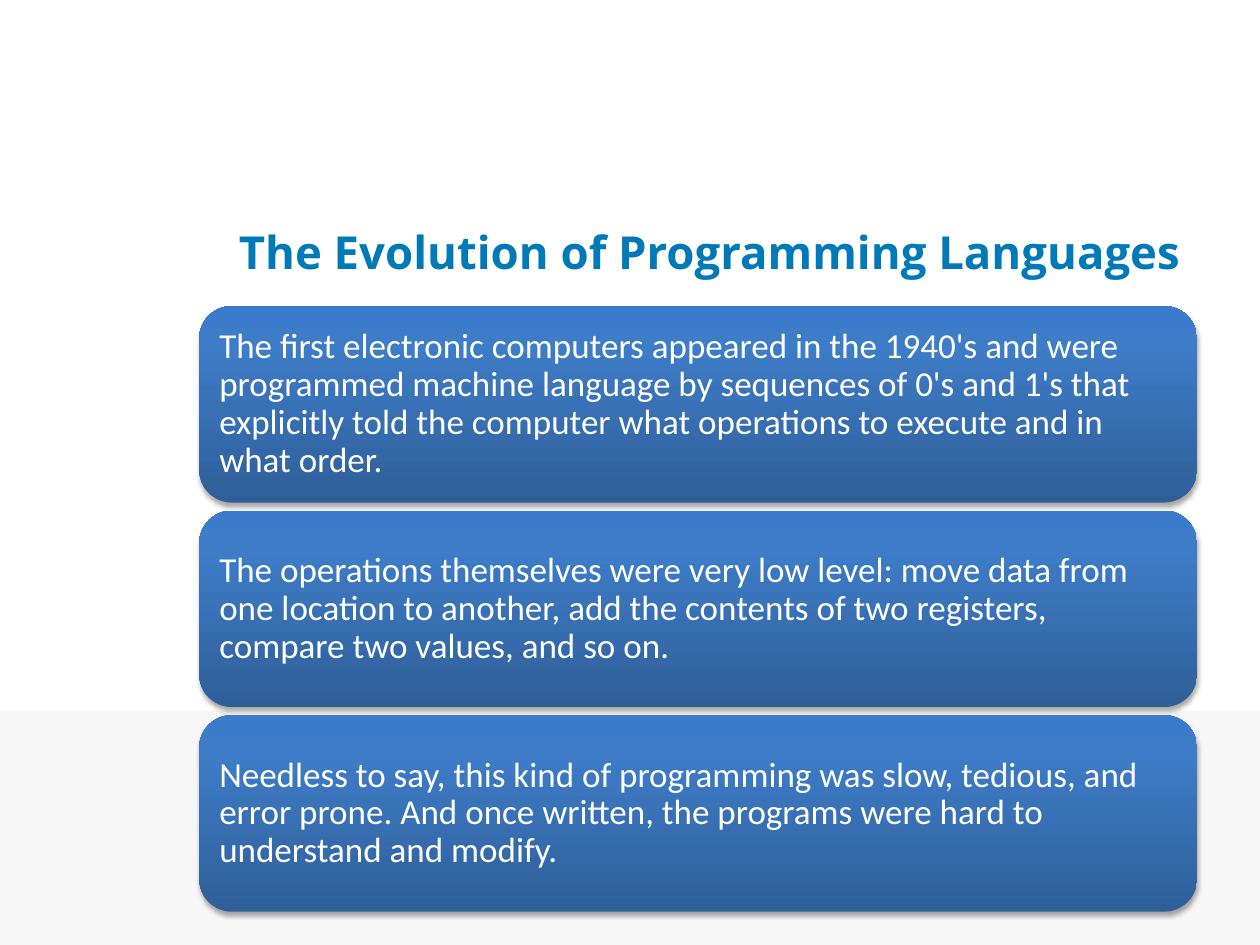
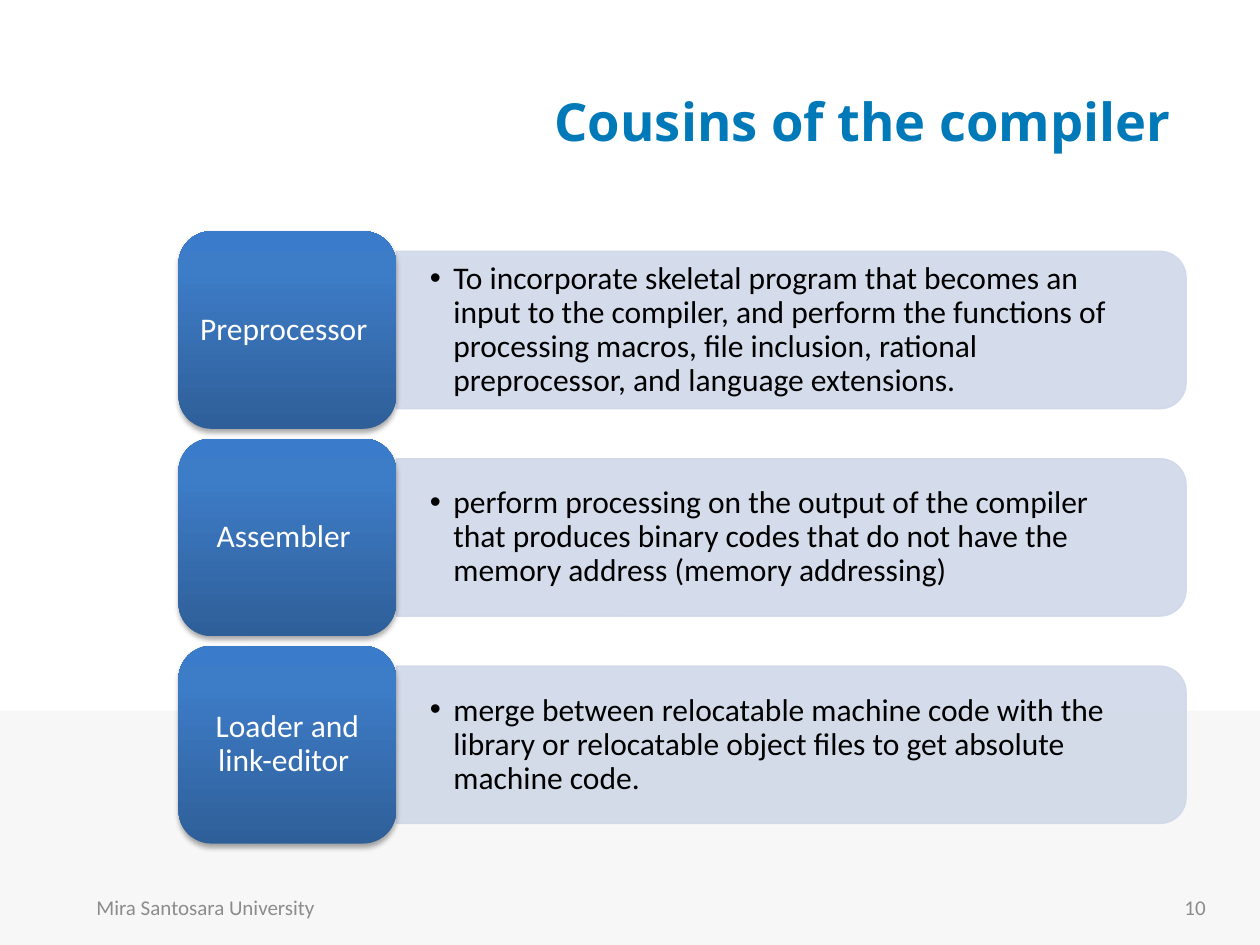
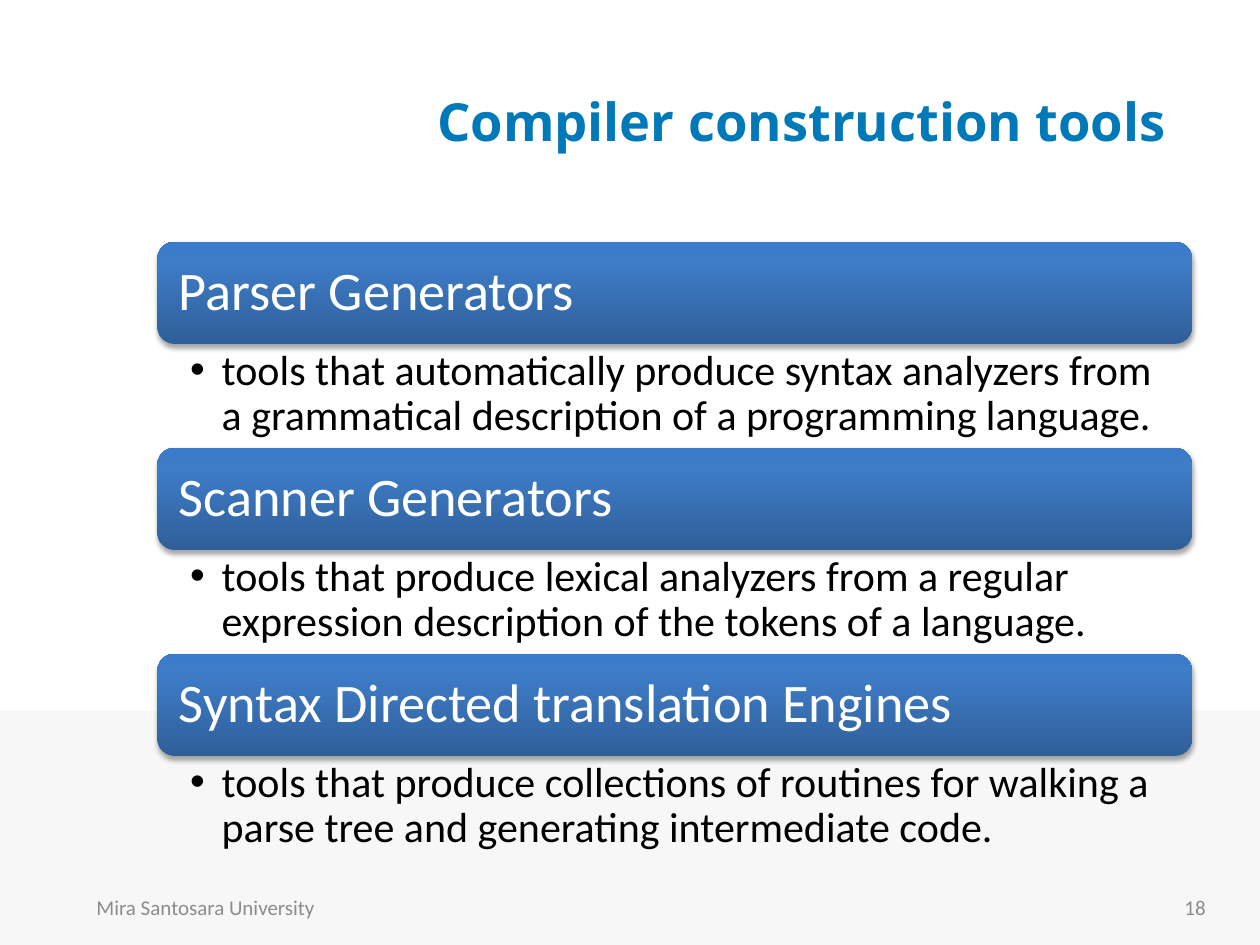
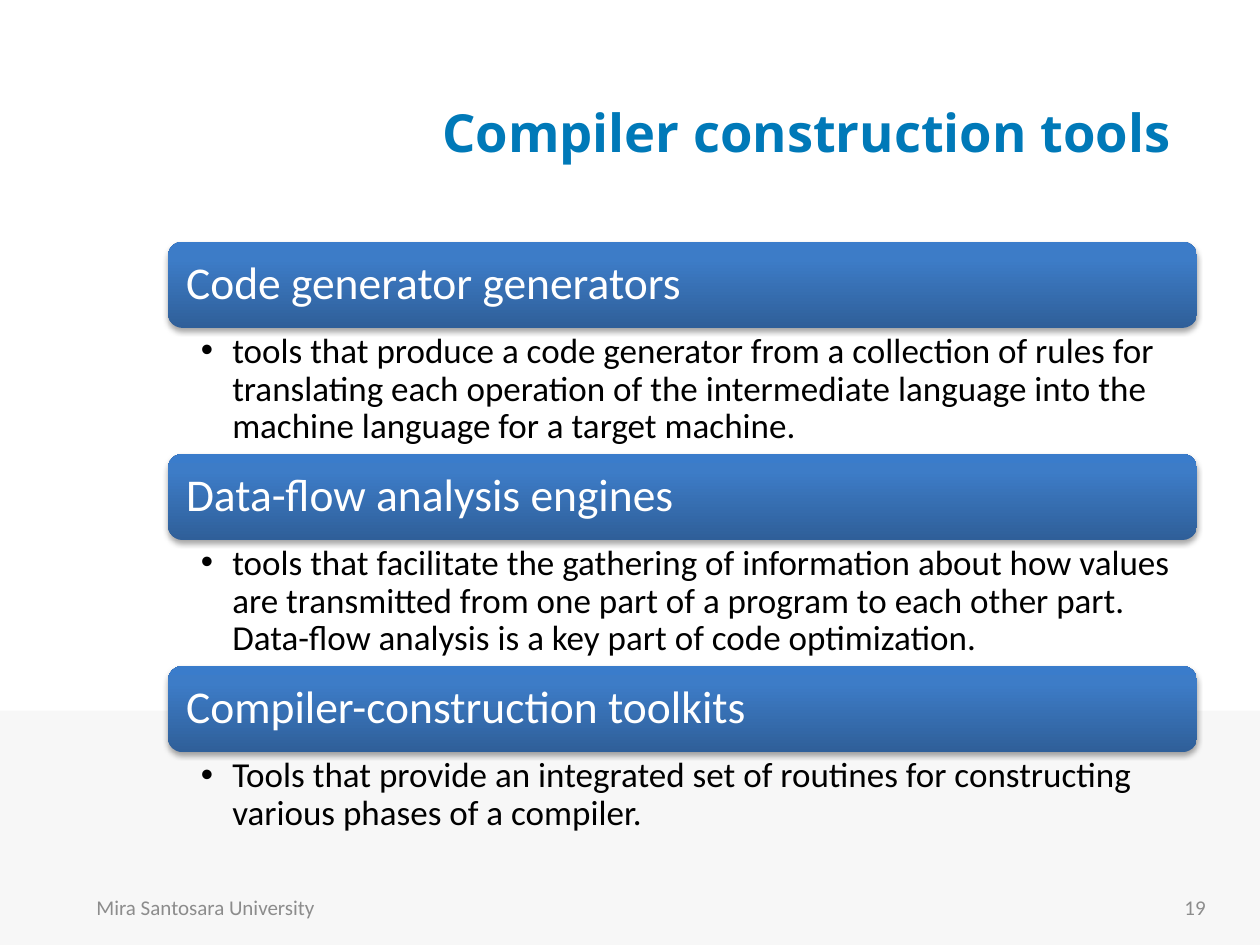
from copy import deepcopy

from lxml.etree import SubElement
from pptx import Presentation
from pptx.dml.color import RGBColor
from pptx.enum.shapes import MSO_SHAPE
from pptx.enum.text import MSO_ANCHOR, PP_ALIGN
from pptx.oxml.ns import qn
from pptx.util import Pt

# Shared look
BLUE, BAND, PANEL = "0079B8", "F7F7F7", "D0D8E8"
WHITE, BLACK, GREY = "FFFFFF", "000000", "8C8C8C"
GLOSS = [(0, "2F5F99"), (0.8, "3D7CC7"), (1, "3A7CCB")]
TITLE_FONT, BODY_FONT = "Open Sans", "Calibri"
UNIVERSITY = "Mira Santosara University"

# Content
EVOLUTION = [
    "The first electronic computers appeared in the 1940's and were programmed machine language "
    "by sequences of 0's and 1's that explicitly told the computer what operations to execute "
    "and in what order.",
    "The operations themselves were very low level: move data from one location to another, "
    "add the contents of two registers, compare two values, and so on.",
    "Needless to say, this kind of programming was slow, tedious, and error prone. And once "
    "written, the programs were hard to understand and modify.",
]
COUSINS = [
    ("Preprocessor ",
     "To incorporate skeletal program that becomes an input to the compiler, and perform the "
     "functions of processing macros, file inclusion, rational preprocessor, and language "
     "extensions."),
    ("Assembler ",
     "perform processing on the output of the compiler that produces binary codes that do not "
     "have the memory address (memory addressing)"),
    ("Loader and link-editor ",
     "merge between relocatable machine code with the library or relocatable object files to "
     "get absolute machine code."),
]
TOOL_SLIDES = [
    dict(number=18, title_left=124.6, title_top=23.8, left=90, width=591.2, pitch=117.7,
         head_height=58.4, head_size=31, head_inset=9.4,
         detail_heights=(59.2, 59.2, 59.2), detail_size=24, detail_right=17.3,
         tools=[
             ("Parser Generators",
              "tools that automatically produce syntax analyzers from a grammatical description "
              "of a programming language."),
             ("Scanner Generators",
              "tools that produce lexical analyzers from a regular expression description of "
              "the tokens of a language."),
             ("Syntax Directed translation Engines",
              "tools that produce collections of routines for walking a parse tree and "
              "generating intermediate code."),
         ]),
    dict(number=19, title_left=127.4, title_top=30.2, left=96, width=588, pitch=121.2,
         head_height=49.2, head_size=26, head_inset=7.9,
         detail_heights=(72, 72, 49.7), detail_size=20, detail_right=14.4,
         tools=[
             ("Code generator generators",
              "tools that produce a code generator from a collection of rules for translating "
              "each operation of the intermediate language into the machine language for a "
              "target machine."),
             ("Data-flow analysis engines",
              "tools that facilitate the gathering of information about how values are "
              "transmitted from one part of a program to each other part. Data-flow analysis "
              "is a key part of code optimization."),
             ("Compiler-construction toolkits",
              "Tools that provide an integrated set of routines for constructing various "
              "phases of a compiler."),
         ]),
]


def rgb(color):
    return RGBColor.from_string(color)


def points(*lengths):
    return [Pt(length) for length in lengths]


def write(shape, text, size=20, color=BLACK, font=BODY_FONT, bold=False, align=PP_ALIGN.LEFT,
          anchor=MSO_ANCHOR.MIDDLE, insets=(7.2, 3.6, 7.2, 3.6), spacing=0.9, bullet=0):
    """Put formatted text in a shape; bullet is the hanging indent, 0 for none."""
    frame = shape.text_frame
    frame.word_wrap = True
    frame.vertical_anchor = anchor
    (frame.margin_left, frame.margin_top,
     frame.margin_right, frame.margin_bottom) = points(*insets)
    paragraph = frame.paragraphs[0]
    paragraph.alignment, paragraph.line_spacing = align, spacing
    run = paragraph.add_run()
    run.text = text
    run.font.name, run.font.size, run.font.bold = font, Pt(size), bold
    run.font.color.rgb = rgb(color)
    if bullet:
        paragraph.level = 1
        properties = paragraph._p.get_or_add_pPr()
        properties.set("marL", str(Pt(bullet)))
        properties.set("indent", str(-Pt(bullet)))
        SubElement(properties, qn("a:buFont"), typeface="Arial")
        SubElement(properties, qn("a:buChar"), char="•")


def add_text(slide, box, text, **style):
    write(slide.shapes.add_textbox(*points(*box)), text, **style)


def add_plain(slide, kind, box, color):
    shape = slide.shapes.add_shape(kind, *points(*box))
    shape.shadow.inherit = False
    shape.fill.solid()
    shape.fill.fore_color.rgb = rgb(color)
    shape.line.fill.background()
    return shape


def set_alpha(color_parent, percent):
    SubElement(color_parent.find(".//" + qn("a:srgbClr")), qn("a:alpha"), val=str(percent * 1000))


def add_glossy(slide, box, text, **style):
    """Rounded box with the blue gradient and a soft shadow below."""
    shape = add_plain(slide, MSO_SHAPE.ROUNDED_RECTANGLE, box, BLUE)
    shape.fill.gradient()
    shape.fill.gradient_angle = 90
    properties = shape._element.spPr
    stop_list = properties.find(".//" + qn("a:gsLst"))
    stop_list.append(deepcopy(stop_list[-1]))
    for stop, (position, color) in zip(shape.fill.gradient_stops, GLOSS):
        stop.position = position
        stop.color.rgb = rgb(color)
    shadow = SubElement(properties.find(qn("a:effectLst")), qn("a:outerShdw"),
                        blurRad=str(Pt(3.1)), dist=str(Pt(1.8)), dir="5400000", rotWithShape="0")
    SubElement(shadow, qn("a:srgbClr"), val=BLACK)
    set_alpha(shadow, 35)
    write(shape, text, color=WHITE, **style)


def add_panel(slide, left, top, width, height):
    """Pale panel, rounded on its right side: a top-rounded shape turned by 90 degrees."""
    turned = (left + (width - height) / 2, top + (height - width) / 2, height, width)
    panel = add_plain(slide, MSO_SHAPE.ROUND_2_SAME_RECTANGLE, turned, PANEL)
    panel.rotation = 90
    panel.line.color.rgb = rgb(PANEL)
    panel.line.width = Pt(0.75)
    properties = panel._element.spPr
    set_alpha(properties.find(qn("a:solidFill")), 90)
    set_alpha(properties.find(qn("a:ln")), 90)


def add_slide(deck, title, left=127.4, top=23.8, number=None, **title_style):
    """Slide with the bottom band, the title and, if numbered, the footer."""
    slide = deck.slides.add_slide(deck.slide_layouts[6])
    add_plain(slide, MSO_SHAPE.RECTANGLE, (0, 406.1, 720, 133.9), BAND)
    style = dict(size=30, align=PP_ALIGN.RIGHT, spacing=1.0) | title_style
    add_text(slide, (left, top, 556.6, 90), title,
             font=TITLE_FONT, color=BLUE, bold=True, **style)
    if number:
        footer = dict(size=12, color=GREY, spacing=1.0)
        add_text(slide, (48, 504, 168, 28.8), UNIVERSITY, **footer)
        add_text(slide, (528, 504, 168, 28.8), str(number), align=PP_ALIGN.RIGHT, **footer)
    return slide


def add_evolution(deck):
    slide = add_slide(deck, "The Evolution of Programming Languages", top=116.6, size=26,
                      align=PP_ALIGN.CENTER, spacing=0.9, insets=(7.2, 3.6, 7.2, 35.6))
    for row, statement in enumerate(EVOLUTION):
        add_glossy(slide, (113.8, 174.9 + row * 116.9, 570.2, 112.3), statement,
                   insets=(6, 6, 6, 6))


def add_cousins(deck):
    slide = add_slide(deck, "Cousins of the compiler ", number=10)
    left, width, height, panel_height = 102, 124.4, 113, 90
    for row, (cousin, task) in enumerate(COUSINS):
        top = 132.1 + row * 118.5
        panel_left, panel_top = left + width, top + (height - panel_height) / 2
        add_panel(slide, panel_left, panel_top, 451.4, panel_height)
        add_text(slide, (panel_left, panel_top + 4.4, 447, panel_height - 8.8), task, size=18,
                 insets=(19.2, 10.1, 19.2, 10.1), bullet=13.5)
        add_glossy(slide, (left, top, width, height), cousin, size=18,
                   align=PP_ALIGN.CENTER, insets=(5, 2.9, 5, 2.9))


def add_tools(deck, content):
    slide = add_slide(deck, "Compiler construction tools ", content["title_left"],
                      content["title_top"], content["number"])
    left, width, head_height = content["left"], content["width"], content["head_height"]
    rows = zip(content["tools"], content["detail_heights"])
    for row, ((tool, purpose), detail_height) in enumerate(rows):
        top = 138.2 + row * content["pitch"]
        add_glossy(slide, (left, top, width, head_height), tool, size=content["head_size"],
                   insets=[content["head_inset"]] * 4)
        add_text(slide, (left, top + head_height, width, detail_height), purpose,
                 size=content["detail_size"], anchor=MSO_ANCHOR.TOP, bullet=18,
                 insets=(18.7, 2.9, content["detail_right"], 2.9))


def main():
    deck = Presentation()
    deck.slide_width, deck.slide_height = points(720, 540)
    add_evolution(deck)
    add_cousins(deck)
    for content in TOOL_SLIDES:
        add_tools(deck, content)
    deck.save("out.pptx")


if __name__ == "__main__":
    main()
